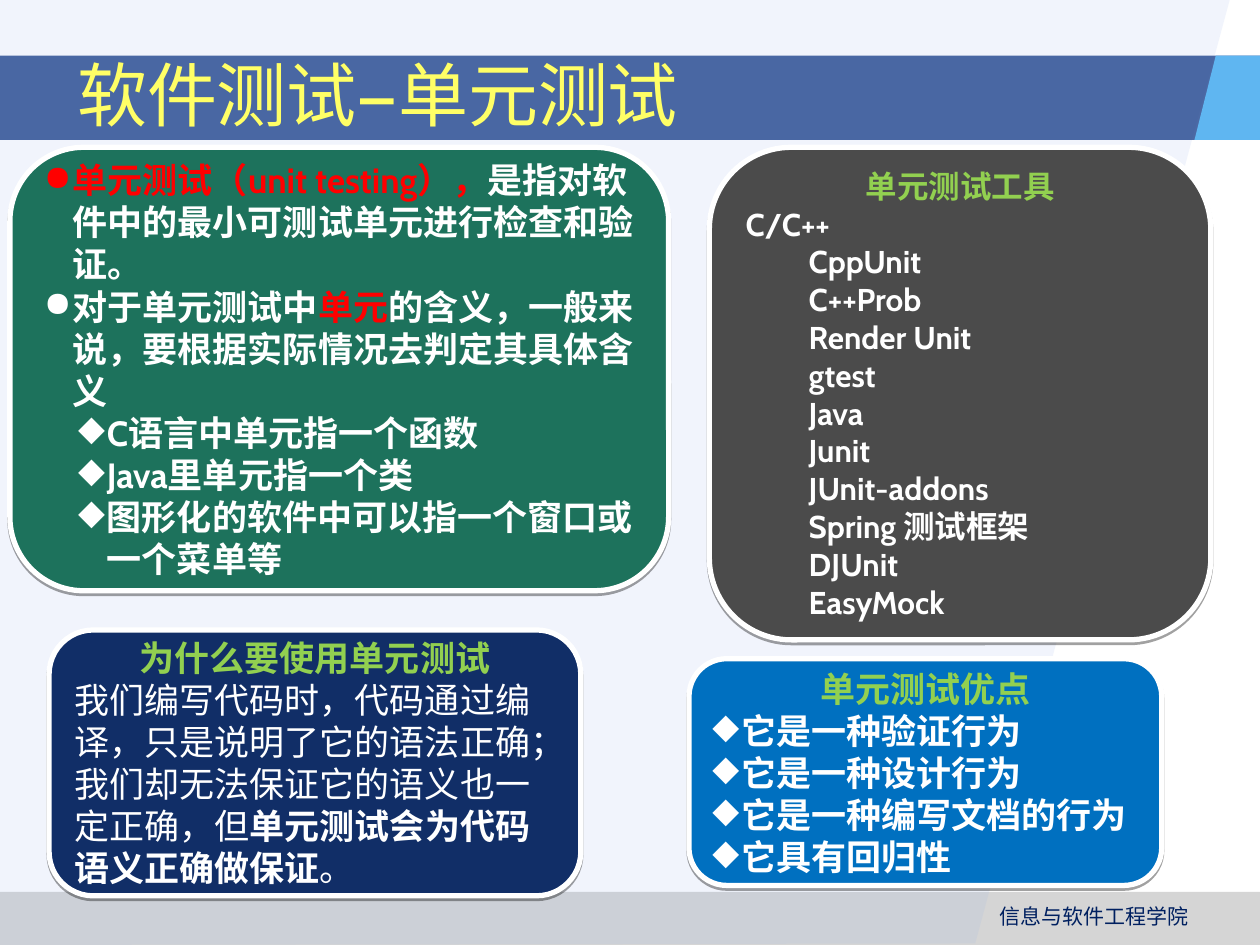
import pptx
import pptx.util
import pptx.dml.color
import pptx.enum.shapes
import pptx.enum.text
import pptx.oxml
import pptx.oxml.ns
from lxml import etree

Cm = pptx.util.Cm
ALIGN = pptx.enum.text.PP_ALIGN
ANCHOR = pptx.enum.text.MSO_ANCHOR
SHAPE = pptx.enum.shapes.MSO_SHAPE
qn = pptx.oxml.ns.qn

COLORS = {
    "white": "FFFFFF", "black": "000000", "red": "FF0000", "lime": "92D050",
    "yellow": "FFFF66", "footer": "002060", "gray": "969696", "wash": "94B1EC",
    "band": "173D89", "corner": "5FB6F1", "green": "1D725C", "blue": "0070C0",
    "navy": "112E67", "dark": "4B4B4B",
}
FONT, FOOTER_FONT = "Cabin", "Noto Sans CJK SC"
HANG, STEP = 0.58, 1.27

TITLE = "软件测试—单元测试"
FOOTER = "信息与软件工程学院"
TOOLS = ["CppUnit", "C++Prob", "Render Unit", "gtest", "Java", "Junit",
         "JUnit-addons", "Spring 测试框架", "DJUnit", "EasyMock"]
UNITS = ["C语言中单元指一个函数", "Java里单元指一个类",
         "图形化的软件中可以指一个窗口或一个菜单等"]
MERITS = ["它是一种验证行为", "它是一种设计行为", "它是一种编写文档的行为", "它具有回归性"]


def heading(text):
    """Describe a centred panel heading."""
    return {"text": [(text, {"color": "lime"})], "align": ALIGN.CENTER}


PANELS = [
    {"box": (0.2, 2.97, 13.28, 8.94), "fill": "green", "size": 20, "paragraphs": [
        {"text": [("单元测试（unit testing），", {"color": "red"}),
                  "是指对软件中的最小可测试单元进行检查和验证。"],
         "bullet": "●", "bullet_color": "red"},
        {"text": ["对于单元测试中", ("单元", {"color": "red"}),
                  "的含义，一般来说，要根据实际情况去判定其具体含义"], "bullet": "●"},
        *[{"text": [t], "bullet": "◆", "level": 1} for t in UNITS]]},
    {"box": (13.89, 13.28, 9.53, 4.57), "fill": "blue", "size": 20, "paragraphs": [
        heading("单元测试优点"),
        *[{"text": [t], "bullet": "◆"} for t in MERITS]]},
    {"box": (0.99, 12.7, 10.72, 5.36), "fill": "navy", "size": 20, "paragraphs": [
        heading("为什么要使用单元测试"),
        {"text": [("我们编写代码时，代码通过编译，只是说明了它的语法正确；"
                   "我们却无法保证它的语义也一定正确，但", {"bold": False}),
                  "单元测试会为代码语义正确做保证", ("。", {"bold": False})]}]},
    {"box": (14.3, 2.97, 10.11, 9.93), "fill": "dark", "size": 18, "paragraphs": [
        heading("单元测试工具"),
        {"text": ["C/C++"]},
        *[{"text": [t], "level": 1} for t in TOOLS]]},
]


def rgb(name):
    """Return the named colour."""
    return pptx.dml.color.RGBColor.from_string(COLORS[name])


def paint(sp, color, alpha=None):
    """Fill a shape, without outline or shadow."""
    sp.shadow.inherit = False
    sp.fill.solid()
    sp.fill.fore_color.rgb = rgb(color)
    sp.line.fill.background()
    if alpha:
        clr = sp._element.spPr.find(qn("a:solidFill"))[0]
        etree.SubElement(clr, qn("a:alpha"), val=str(alpha * 1000))


def add_rect(s, box, color, alpha=None, kind=SHAPE.RECTANGLE):
    """Add a filled preset shape."""
    sp = s.shapes.add_shape(kind, *map(Cm, box))
    paint(sp, color, alpha)
    return sp


def add_outline(s, points, color, alpha=None):
    """Add a filled polygon."""
    pts = [(Cm(x), Cm(y)) for x, y in points]
    fb = s.shapes.build_freeform(*pts[0])
    fb.add_line_segments(pts[1:], close=True)
    paint(fb.convert_to_shape(), color, alpha)


def add_text(p, text, size=20, color="white", bold=False, font=FONT):
    """Append a formatted run to a paragraph."""
    r = p.add_run()
    r.text = text
    r.font.size = pptx.util.Pt(size)
    r.font.bold = bold
    r.font.name = font
    r.font.color.rgb = rgb(color)
    etree.SubElement(r.font._element, qn("a:ea"), typeface=font)


def set_bullet(p, char, color, level):
    """Give a paragraph its level, indent and bullet."""
    pPr = p._p.get_or_add_pPr()
    p.level = level
    pPr.set("marL", str(Cm(STEP * level or (HANG if char else 0))))
    pPr.set("indent", str(-Cm(HANG) if char else 0))
    if not char:
        etree.SubElement(pPr, qn("a:buNone"))
        return
    clr = etree.SubElement(pPr, qn("a:buClr"))
    etree.SubElement(clr, qn("a:srgbClr"), val=COLORS[color])
    etree.SubElement(pPr, qn("a:buFont"), typeface="OpenSymbol")
    etree.SubElement(pPr, qn("a:buChar"), char=char)


def add_panel(s, box, fill, size, paragraphs):
    """Add a rounded panel with its paragraphs."""
    sp = add_rect(s, box, fill, kind=SHAPE.ROUNDED_RECTANGLE)
    sp.line.color.rgb = rgb("white")
    sp.line.width = pptx.util.Pt(3)
    effects = sp._element.spPr.find(qn("a:effectLst"))
    shadow = etree.SubElement(effects, qn("a:outerShdw"), blurRad="0", dist="20000",
                              dir="5400000", rotWithShape="0")
    clr = etree.SubElement(shadow, qn("a:srgbClr"), val=COLORS["black"])
    etree.SubElement(clr, qn("a:alpha"), val="36000")
    tf = sp.text_frame
    tf.word_wrap = True
    tf.vertical_anchor = ANCHOR.MIDDLE
    for i, item in enumerate(paragraphs):
        p = tf.add_paragraph() if i else tf.paragraphs[0]
        set_bullet(p, item.get("bullet"), item.get("bullet_color", "white"),
                   item.get("level", 0))
        p.alignment = item.get("align", ALIGN.LEFT)
        for part in item["text"]:
            text, style = (part, {}) if isinstance(part, str) else part
            add_text(p, text, **{"size": size, "bold": True, **style})


def main():
    """Build the unit testing slide."""
    prs = pptx.Presentation()
    prs.slide_width, prs.slide_height = Cm(25.4), Cm(19.05)
    s = prs.slides.add_slide(prs.slide_layouts[5])

    add_rect(s, (0, 17.98, 25.4, 1.07), "gray", 40)
    add_outline(s, [(0, 0), (24.79, 0), (19.66, 19.02), (0, 19.05)], "wash", 13)
    add_rect(s, (0, 1.12, 25.4, 1.7), "band", 77)
    add_outline(s, [(24.51, 1.12), (24.08, 2.82), (25.4, 2.82), (25.4, 1.12)], "corner")

    tf = s.shapes.add_textbox(*map(Cm, (19.89, 18.08, 4.32, 0.76))).text_frame
    tf.word_wrap = False
    tf.paragraphs[0].alignment = ALIGN.RIGHT
    add_text(tf.paragraphs[0], FOOTER, size=12, color="footer", font=FOOTER_FONT)

    for panel in PANELS:
        add_panel(s, **panel)

    title = s.shapes.title
    title.left, title.top, title.width, title.height = map(Cm, (1.3, 0.79, 22.86, 2.21))
    title.text_frame.vertical_anchor = ANCHOR.MIDDLE
    p = title.text_frame.paragraphs[0]
    p.alignment = ALIGN.LEFT
    add_text(p, TITLE, size=40, color="yellow")
    s.shapes._spTree.append(title._element)

    prs.save("out.pptx")


if __name__ == "__main__":
    main()
